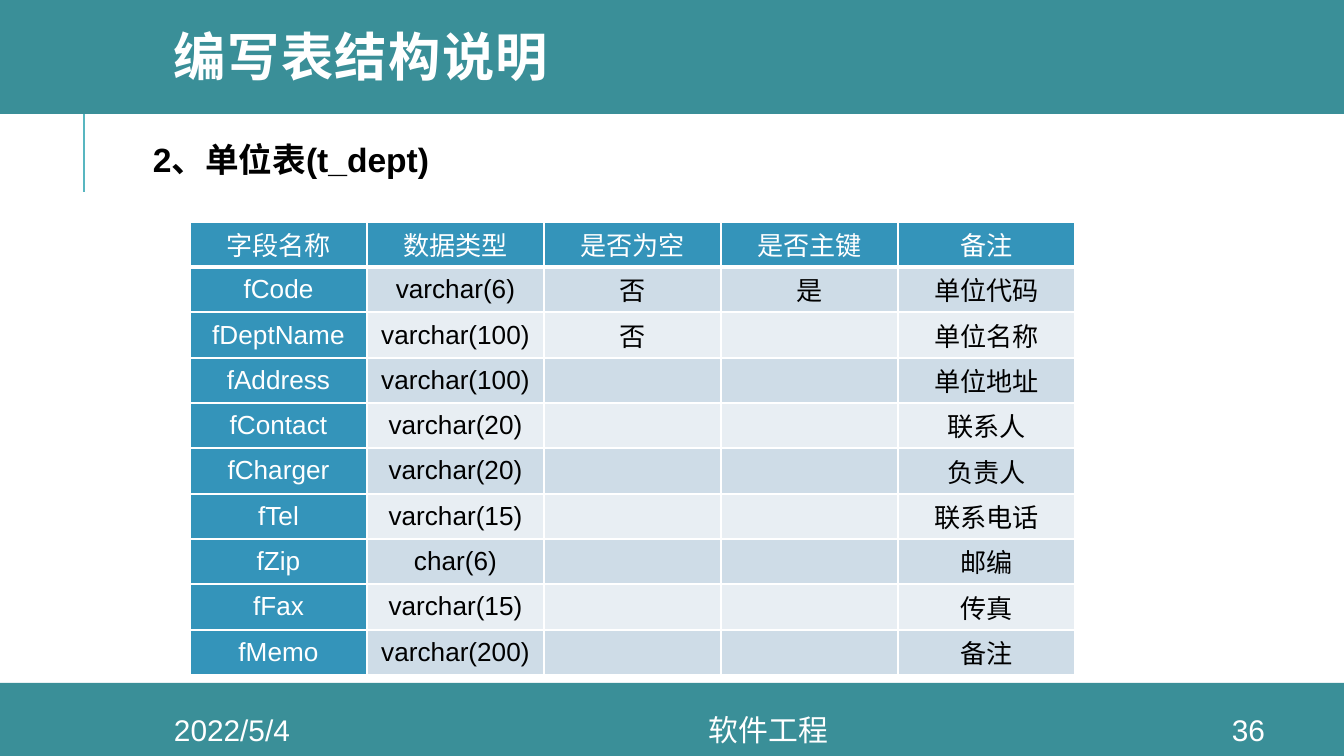
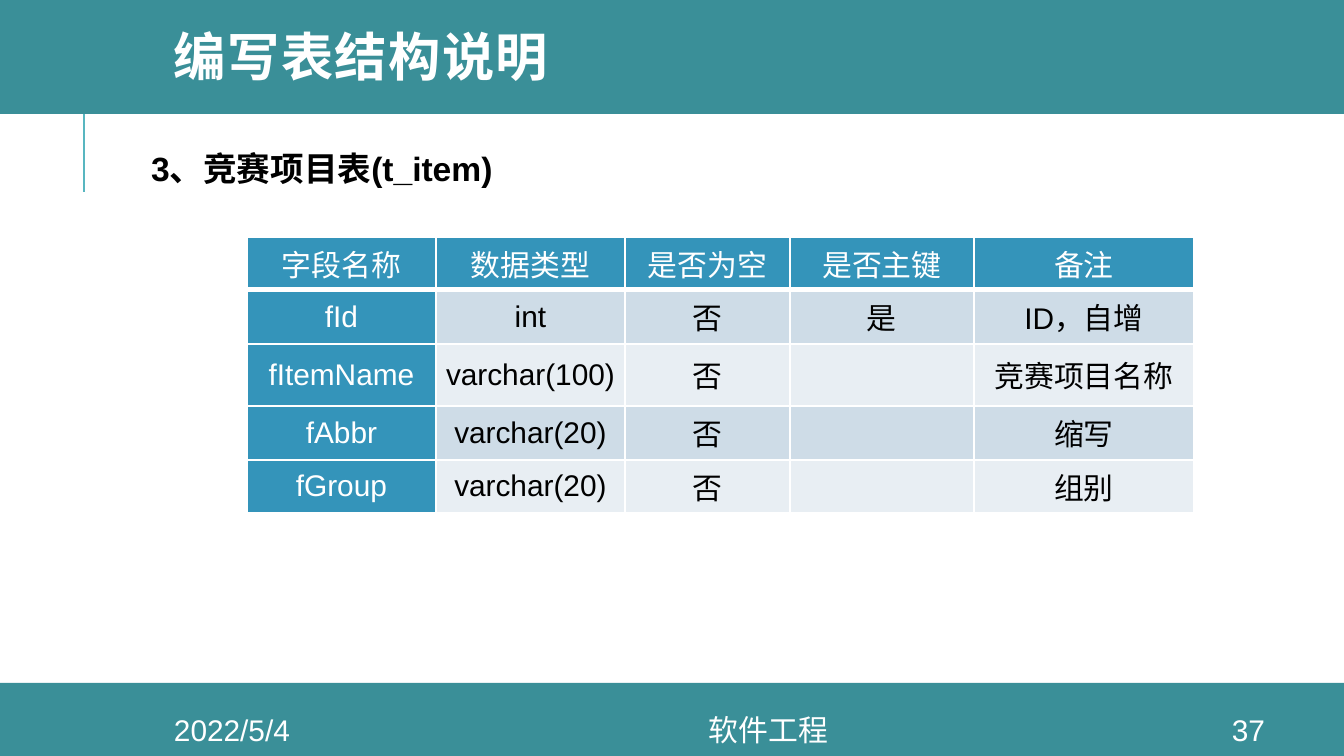
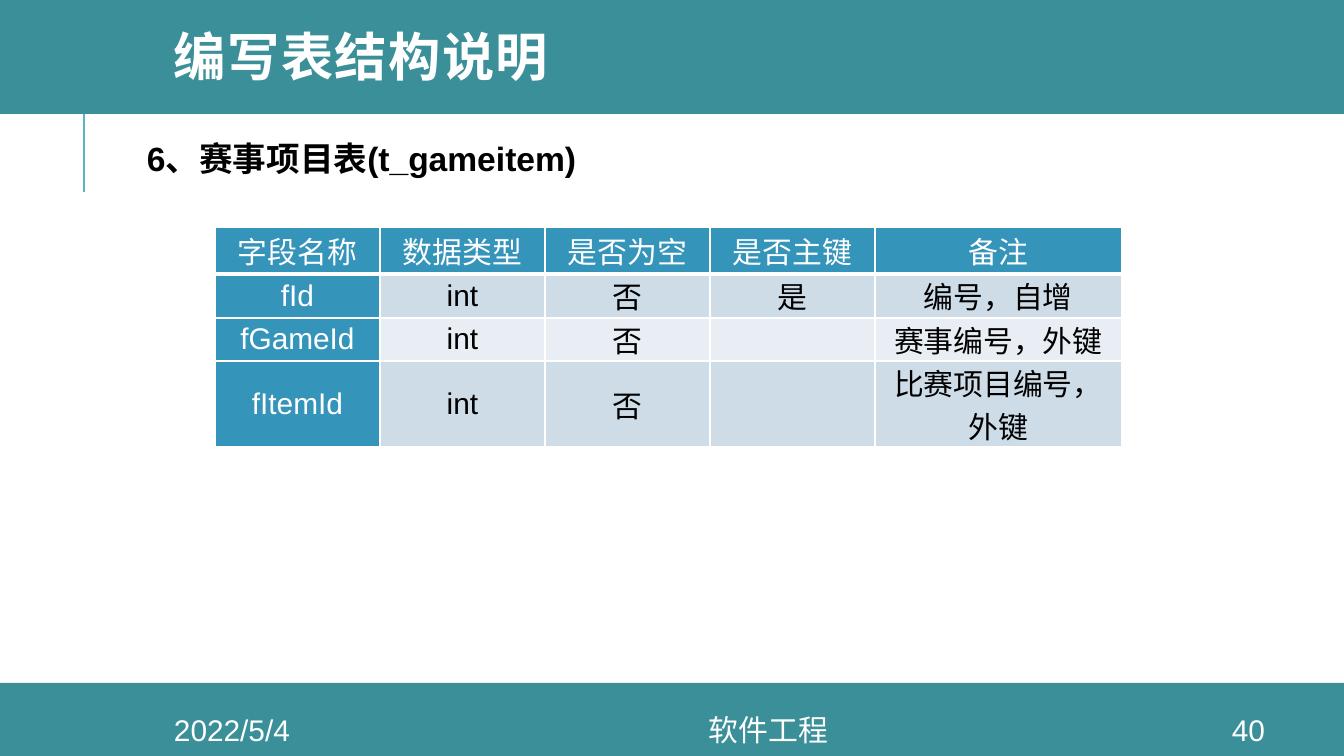
from dataclasses import dataclass

from lxml.etree import SubElement as Sub
from pptx import Presentation
from pptx.dml.color import RGBColor as Rgb
from pptx.enum.shapes import MSO_CONNECTOR as Link, MSO_SHAPE as Shape
from pptx.enum.text import MSO_ANCHOR as Anchor, PP_ALIGN as Align
from pptx.oxml.ns import qn
from pptx.util import Emu, Pt


@dataclass(frozen=True)
class Theme:
    font: str = "Arial"
    band: str = "3A8F98"
    rule: str = "58B6C0"
    head: str = "3494BA"
    odd: str = "CEDCE7"
    even: str = "E8EEF3"
    white: str = "FFFFFF"
    black: str = "000000"
    title: int = 28
    topic: int = 18
    foot: int = 16


@dataclass(frozen=True)
class Box:
    x: int
    y: int
    w: int
    h: int


@dataclass(frozen=True)
class Style:
    size: int
    color: str
    bold: bool = False
    track: int = 0  # hundredths of a point


@dataclass(frozen=True)
class Grid:
    x: int
    y: int
    cols: list[int]
    rows: list[int]
    size: int
    body: list[tuple[str, ...]]


@dataclass(frozen=True)
class Page:
    number: int
    topic: str
    place: Box
    grid: Grid


THEME = Theme()
WIDE, HIGH = 1344, 756
BANDS = (Box(0, 683, WIDE, 73), Box(0, -4, WIDE, 118))
TITLE = Box(161, 0, 1141, 122)
DATE, COURSE, NUMBER = (Box(x, 714, w, 31) for x, w in ((113, 238), (351, 835), (1195, 107)))
HEADS = ("字段名称", "数据类型", "是否为空", "是否主键", "备注")

PAGES = [
    Page(36, "2、单位表(t_dept)", Box(144, 120, 304, 78),
         Grid(190, 222, [177] * 5, [45, 45, 46] * 3 + [45], 14, [
             ("fCode", "varchar(6)", "否", "是", "单位代码"),
             ("fDeptName", "varchar(100)", "否", "", "单位名称"),
             ("fAddress", "varchar(100)", "", "", "单位地址"),
             ("fContact", "varchar(20)", "", "", "联系人"),
             ("fCharger", "varchar(20)", "", "", "负责人"),
             ("fTel", "varchar(15)", "", "", "联系电话"),
             ("fZip", "char(6)", "", "", "邮编"),
             ("fFax", "varchar(15)", "", "", "传真"),
             ("fMemo", "varchar(200)", "", "", "备注")])),
    Page(37, "3、竞赛项目表(t_item)", Box(142, 129, 388, 78),
         Grid(247, 237, [189, 189, 165, 184, 220], [53, 54, 62, 54, 53], 16, [
             ("fId", "int", "否", "是", "ID，自增"),
             ("fItemName", "varchar(100)", "否", "", "竞赛项目名称"),
             ("fAbbr", "varchar(20)", "否", "", "缩写"),
             ("fGroup", "varchar(20)", "否", "", "组别")])),
    Page(40, "6、赛事项目表(t_gameitem)", Box(138, 133, 473, 51),
         Grid(215, 227, [165] * 4 + [247], [47, 44, 43, 86], 16, [
             ("fId", "int", "否", "是", "编号，自增"),
             ("fGameId", "int", "否", "", "赛事编号，外键"),
             ("fItemId", "int", "否", "", "比赛项目编号，外键")])),
]


def px(n: int) -> Emu:
    return Emu(round(n * 914400 / 134.4))


def frame(box: Box) -> tuple[Emu, ...]:
    return px(box.x), px(box.y), px(box.w), px(box.h)


def write(para, text: str, style: Style, align=Align.LEFT) -> None:
    para.alignment = align
    run = para.add_run()
    run.text = text
    font = run.font
    font.name, font.size, font.bold = THEME.font, Pt(style.size), style.bold
    font.color.rgb = Rgb.from_string(style.color)
    if style.track:
        run._r.get_or_add_rPr().set("spc", str(style.track))


def label(slide, box: Box, text: str, style: Style, align=Align.LEFT,
          pad: tuple[int, int] = (13, 7), lead: float = 1.0) -> None:
    area = slide.shapes.add_textbox(*frame(box)).text_frame
    area.word_wrap = True
    area.vertical_anchor = Anchor.MIDDLE
    area.margin_left = area.margin_right = px(pad[0])
    area.margin_top = area.margin_bottom = px(pad[1])
    para = area.paragraphs[0]
    para.line_spacing = lead
    write(para, text, style, align)


def edge(cell, base: int) -> None:
    props = cell._tc.get_or_add_tcPr()
    for at, (side, width) in enumerate((("L", 1), ("R", 1), ("T", 1), ("B", base))):
        line = Sub(props, qn(f"a:ln{side}"), w=str(Pt(width)))
        fill = Sub(line, qn("a:solidFill"))
        Sub(fill, qn("a:srgbClr"), val=THEME.white)
        props.insert(at, line)  # borders come before the fill


def table(slide, grid: Grid) -> None:
    data = [HEADS, *grid.body]
    box = Box(grid.x, grid.y, sum(grid.cols), sum(grid.rows))
    tab = slide.shapes.add_table(len(data), len(HEADS), *frame(box)).table
    tab.horz_banding = False
    tab.first_col = True
    for col, width in zip(tab.columns, grid.cols):
        col.width = px(width)
    for row, height in zip(tab.rows, grid.rows):
        row.height = px(height)
    for r, line in enumerate(data):
        for c, text in enumerate(line):
            cell = tab.cell(r, c)
            key = r == 0 or c == 0
            tint = THEME.head if key else THEME.odd if r % 2 else THEME.even
            cell.fill.solid()
            cell.fill.fore_color.rgb = Rgb.from_string(tint)
            edge(cell, 1 if r else 3)
            cell.vertical_anchor = Anchor.MIDDLE
            cell.margin_left = cell.margin_right = px(8)
            cell.margin_top = cell.margin_bottom = 0
            if text:
                ink = THEME.white if key else THEME.black
                write(cell.text_frame.paragraphs[0], text, Style(grid.size, ink), Align.CENTER)


def base(slide) -> None:
    # Side rule
    rule = slide.shapes.add_connector(Link.STRAIGHT, px(84), px(192), px(84), px(92))
    rule.line.color.rgb = Rgb.from_string(THEME.rule)
    rule.line.width = Pt(1.5)
    Sub(rule._element.spPr, qn("a:effectLst"))
    # Top and bottom bands
    for box in BANDS:
        band = slide.shapes.add_shape(Shape.RECTANGLE, *frame(box))
        band.shadow.inherit = False
        band.fill.solid()
        band.fill.fore_color.rgb = Rgb.from_string(THEME.band)
        band.line.fill.background()


def build(deck, page: Page) -> None:
    slide = deck.slides.add_slide(deck.slide_layouts[6])
    base(slide)
    table(slide, page.grid)
    # Title and topic
    label(slide, TITLE, "编写表结构说明", Style(THEME.title, THEME.white, True, 80), lead=0.8)
    label(slide, page.place, page.topic, Style(THEME.topic, THEME.black, True), pad=(9, 5))
    # Footer
    foot = Style(THEME.foot, THEME.white)
    for box, text in ((DATE, "2022/5/4"), (COURSE, "软件工程"), (NUMBER, str(page.number))):
        label(slide, box, text, foot, Align.CENTER)


def main() -> None:
    deck = Presentation()
    deck.slide_width, deck.slide_height = px(WIDE), px(HIGH)
    for page in PAGES:
        build(deck, page)
    deck.save("out.pptx")


if __name__ == "__main__":
    main()
